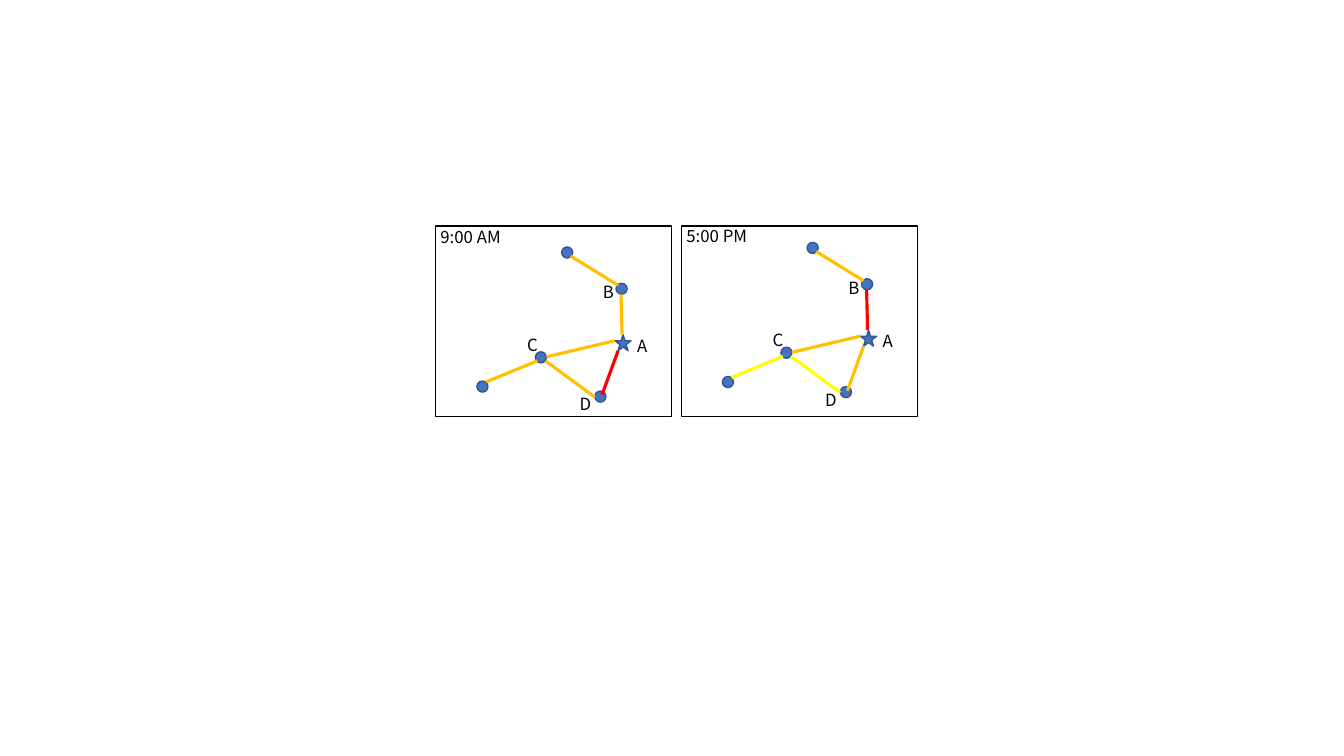
"""Draw two maps of road traffic, one for the morning and one for the evening."""
import dataclasses
import pptx
import pptx.dml.color
import pptx.enum.shapes
import pptx.enum.text
import pptx.oxml.ns
import pptx.util

KIND = pptx.enum.shapes.MSO_SHAPE
STAR = KIND.STAR_5_POINT


@dataclasses.dataclass(frozen=True)
class Theme:
    font: str = "Noto Sans CJK SC"
    size: float = 12
    ink: str = "000000"
    node: str = "4472C4"
    rim: str = "325491"
    slow: str = "FFC000"
    jam: str = "FF0000"
    free: str = "FFFF00"
    thin: float = 1
    road: float = 2.25


def paint(item, props):
    for name, value in props.items():
        setattr(item, name, value)


def tint(code):
    return pptx.dml.color.RGBColor.from_string(code)


class Board:
    def __init__(self, deck, theme):
        self.theme = theme
        self.slide = deck.slides.add_slide(deck.slide_layouts[6])
        self.col = deck.slide_width / 133.3
        self.row = deck.slide_height / 75

    def grid(self, *cells):
        units = (self.col, self.row) * 2
        return [round(cell * unit) for cell, unit in zip(cells, units)]

    def stroke(self, line, color, width):
        line.color.rgb = tint(color)
        line.width = pptx.util.Pt(width)

    def shape(self, kind, x, y, w, h, rim, fill=None):
        item = self.slide.shapes.add_shape(kind, *self.grid(x, y, w, h))
        item.shadow.inherit = False
        if fill:
            item.fill.solid()
            item.fill.fore_color.rgb = tint(fill)
        else:
            item.fill.background()
        self.stroke(item.line, rim, self.theme.thin)

    def road(self, x1, y1, x2, y2, color):
        straight = pptx.enum.shapes.MSO_CONNECTOR.STRAIGHT
        item = self.slide.shapes.add_connector(
            straight, *self.grid(x1, y1, x2, y2))
        self.stroke(item.line, color, self.theme.road)
        props = item._element.spPr
        props.append(props.makeelement(pptx.oxml.ns.qn("a:effectLst"), {}))

    def text(self, words, x, y, w, h=3):
        item = self.slide.shapes.add_textbox(*self.grid(x, y, w, h))
        frame = item.text_frame
        frame.text = words
        fit = pptx.enum.text.MSO_AUTO_SIZE.SHAPE_TO_FIT_TEXT
        paint(frame, {"word_wrap": False, "auto_size": fit})
        font = frame.paragraphs[0].runs[0].font
        paint(font, {"name": self.theme.font,
                     "size": pptx.util.Pt(self.theme.size)})
        font.color.rgb = tint(self.theme.ink)


LEFT, TOP, WIDE, HIGH, STEP = 43.2, 22.4, 23.4, 18.9, 24.4
DOT = 1.1
NODES = [
    (KIND.OVAL, 4.1, 15.4, DOT),
    (KIND.OVAL, 9.9, 12.5, DOT),
    (KIND.OVAL, 15.8, 16.4, DOT),
    (KIND.OVAL, 17.9, 5.7, DOT),
    (KIND.OVAL, 12.5, 2.1, DOT),
    (STAR, 17.8, 10.8, 1.6),
]
ROADS = [
    (5, 15.5, 10.1, 13.4),
    (11, 13, 17.8, 11.4),
    (10.9, 13.4, 15.8, 17),
    (16.5, 16.8, 18.1, 12.4),
    (18.5, 10.8, 18.4, 6.8),
    (13.4, 3, 18.1, 5.9),
]
TAGS = [
    ("C", 8.1, 10.3, 3.1),
    ("B", 15.6, 5.1, 3.1),
    ("D", 13.3, 16.2, 3.2),
    ("A", 19, 10.4, 3.1),
]
HOURS = [
    ("9:00 AM", "slow slow slow jam slow slow"),
    ("5:00 PM", "free slow free slow jam slow"),
]


def main():
    deck = pptx.Presentation()
    paint(deck, {"slide_width": pptx.util.Inches(13.33),
                 "slide_height": pptx.util.Inches(7.5)})
    theme = Theme()
    board = Board(deck, theme)
    for i, (hour, flow) in enumerate(HOURS):
        side = LEFT + i * STEP
        x0, y0 = side - i * 0.05, TOP - i * 0.45
        board.shape(KIND.RECTANGLE, side, TOP, WIDE, HIGH, theme.ink)
        for kind, x, y, size in NODES:
            board.shape(kind, x0 + x, y0 + y, size, size,
                        theme.rim, theme.node)
        for (x1, y1, x2, y2), pace in zip(ROADS, flow.split()):
            board.road(x0 + x1, y0 + y1, x0 + x2, y0 + y2,
                       getattr(theme, pace))
        board.text(hour, side - 0.5, TOP - 0.4 - i * 0.1, 8.1)
        for tag, x, y, w in TAGS:
            board.text(tag, x0 + x, y0 + y, w)
    deck.save("out.pptx")


if __name__ == "__main__":
    main()
